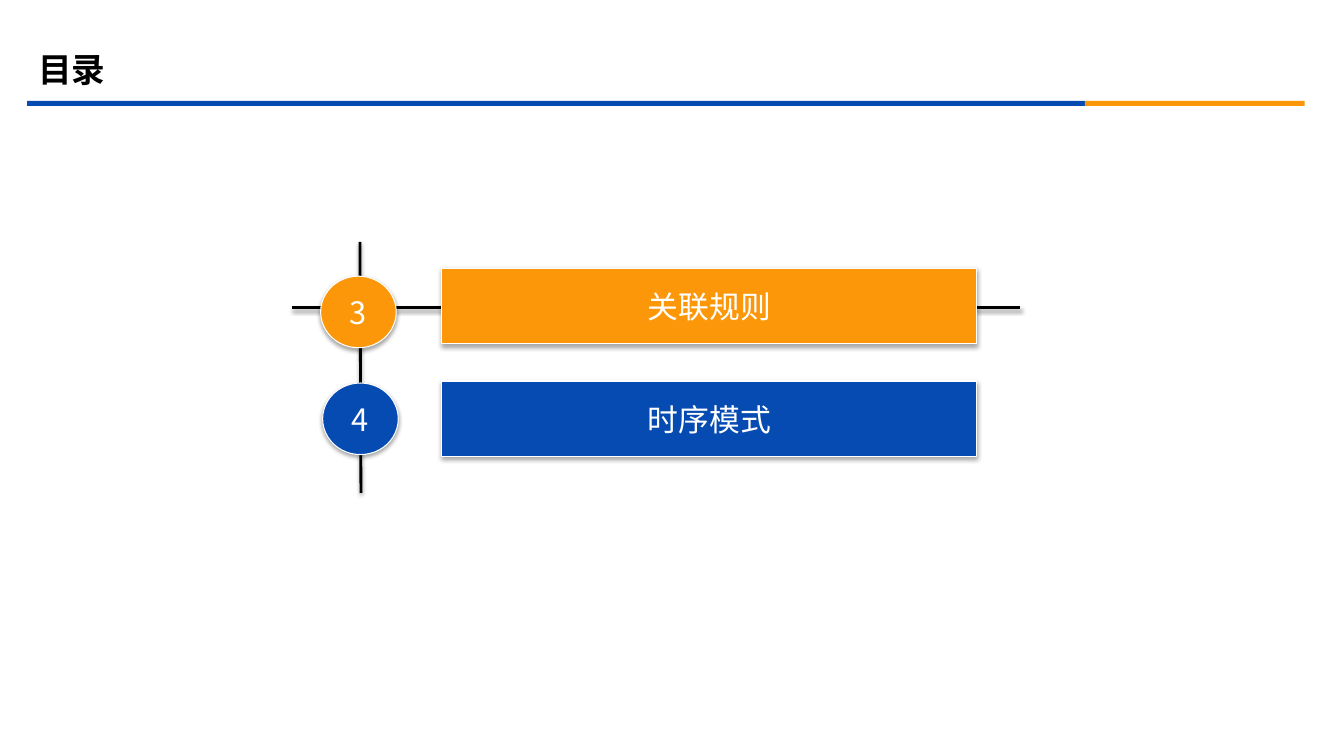
from dataclasses import dataclass

import lxml.etree
import pptx
import pptx.dml.color
import pptx.enum.shapes
import pptx.enum.text
import pptx.oxml.ns
import pptx.util

Inches = pptx.util.Inches
Pt = pptx.util.Pt
Shape = pptx.enum.shapes.MSO_SHAPE
qn = pptx.oxml.ns.qn

FONT = "Noto Sans CJK SC"
COLORS = {"blue": "064BB2", "orange": "FB9708", "black": "000000", "white": "FFFFFF"}
BAR_LEFT, BAR_WIDTH, BAR_HEIGHT = 4.38, 5.31, 0.75
BADGE_WIDTH, BADGE_HEIGHT = 0.75, 0.71


@dataclass
class Chapter:
    number: str
    name: str
    color: str
    bar_top: float
    badge_left: float
    badge_top: float


@dataclass
class Line:
    start: tuple[float, float]
    end: tuple[float, float]


@dataclass
class Stripe:
    left: float
    width: float
    color: str


CHAPTERS = [
    Chapter("3", "关联规则", "orange", 2.66, 3.18, 2.74),
    Chapter("4", "时序模式", "blue", 3.78, 3.2, 3.8),
]
LINES = [Line((3.57, 2.4), (3.58, 4.89)), Line((2.9, 3.05), (10.12, 3.05))]
STRIPES = [Stripe(0.27, 10.49, "blue"), Stripe(10.76, 2.18, "orange")]


def rgb(color: str) -> pptx.dml.color.RGBColor:
    return pptx.dml.color.RGBColor.from_string(COLORS[color])


def add_shadow(item, opacity: int, distance: float) -> None:
    """Drop a soft black shadow straight down."""
    properties = item._element.spPr
    effects = properties.find(qn("a:effectLst"))
    if effects is None:
        effects = lxml.etree.SubElement(properties, qn("a:effectLst"))
    shadow = lxml.etree.SubElement(
        effects, qn("a:outerShdw"), blurRad=str(Pt(3.1)), dist=str(Pt(distance)),
        dir="5400000", rotWithShape="0")
    tint = lxml.etree.SubElement(shadow, qn("a:srgbClr"), val=COLORS["black"])
    lxml.etree.SubElement(tint, qn("a:alpha"), val=str(opacity * 1000))


def write(box, text: str, size: float, color: str, bold: bool = False) -> None:
    frame = box.text_frame
    frame.vertical_anchor = pptx.enum.text.MSO_ANCHOR.MIDDLE
    para = frame.paragraphs[0]
    para.text = text
    font = para.font
    font.name, font.size, font.bold = FONT, Pt(size), bold
    font.color.rgb = rgb(color)
    defaults = para._p.pPr.find(qn("a:defRPr"))
    lxml.etree.SubElement(defaults, qn("a:ea"), typeface=FONT)


def add_filled(page, kind, left: float, top: float, width: float, height: float, color: str):
    box = page.shapes.add_shape(kind, Inches(left), Inches(top), Inches(width), Inches(height))
    box.shadow.inherit = False
    box.fill.solid()
    box.fill.fore_color.rgb = rgb(color)
    box.line.fill.background()
    return box


def add_label(page, kind, left: float, top: float, width: float, height: float,
              color: str, text: str) -> None:
    box = add_filled(page, kind, left, top, width, height, color)
    box.line.color.rgb = rgb("white")
    box.line.width = Pt(0.75)
    add_shadow(box, 35, 1.8)
    write(box, text, 22, "white")
    box.text_frame.word_wrap = False
    box.text_frame.paragraphs[0].alignment = pptx.enum.text.PP_ALIGN.CENTER


def add_line(page, line: Line) -> None:
    connector = page.shapes.add_connector(
        pptx.enum.shapes.MSO_CONNECTOR.STRAIGHT,
        *(Inches(value) for value in line.start + line.end))
    connector.line.color.rgb = rgb("black")
    connector.line.width = Pt(2)
    add_shadow(connector, 38, 1.6)


def main() -> None:
    deck = pptx.Presentation()
    deck.slide_width, deck.slide_height = Inches(13.33), Inches(7.5)
    page = deck.slides.add_slide(deck.slide_layouts[6])

    # Heading and its two-colour rule
    for stripe in STRIPES:
        add_filled(page, Shape.RECTANGLE, stripe.left, 1, stripe.width, 0.05, stripe.color)
    title = page.shapes.add_textbox(Inches(0.28), Inches(0.39), Inches(12), Inches(0.58))
    title.text_frame.word_wrap = True
    write(title, "目录", 24, "black", bold=True)

    # Crossing lines behind the chapters
    for line in LINES:
        add_line(page, line)

    # Chapters: numbered badge and bar
    for chapter in CHAPTERS:
        add_label(page, Shape.OVAL, chapter.badge_left, chapter.badge_top,
                  BADGE_WIDTH, BADGE_HEIGHT, chapter.color, chapter.number)
        add_label(page, Shape.ACTION_BUTTON_CUSTOM, BAR_LEFT, chapter.bar_top,
                  BAR_WIDTH, BAR_HEIGHT, chapter.color, chapter.name)

    deck.save("out.pptx")


if __name__ == "__main__":
    main()
